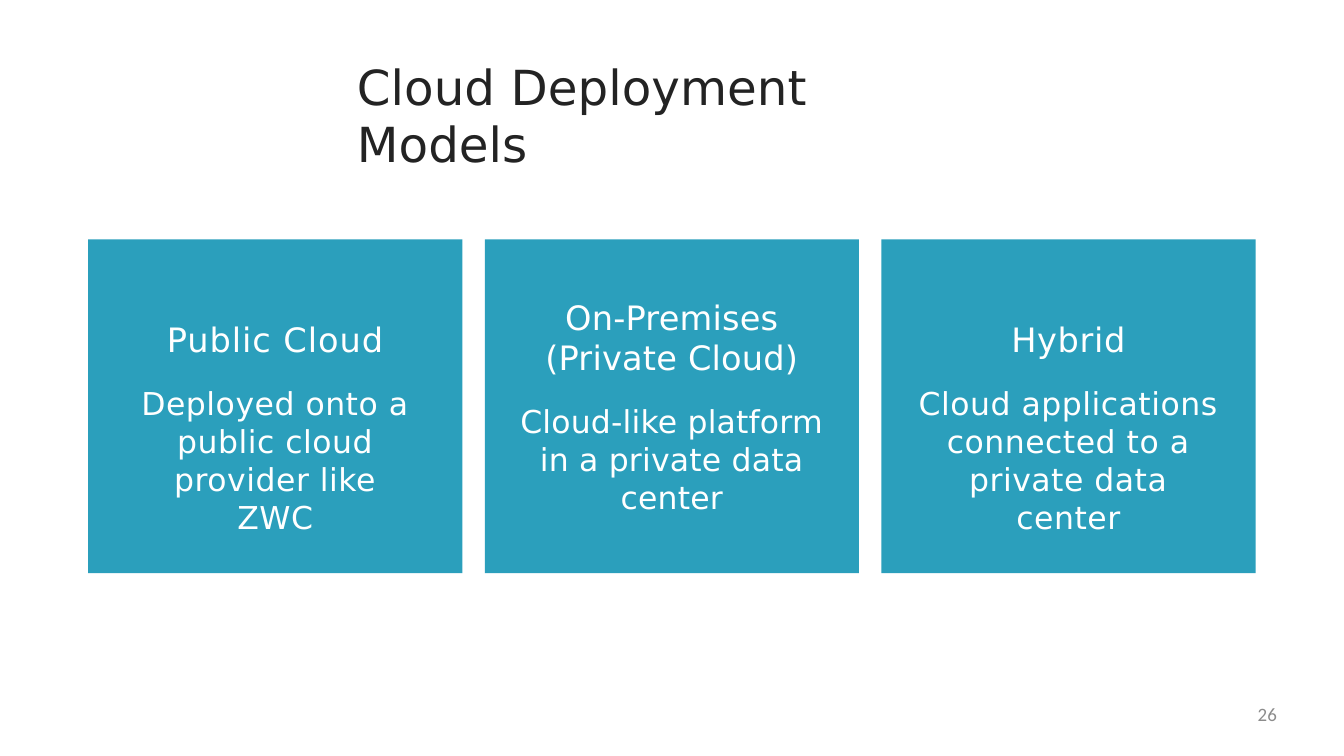
"""Build a slide of three cloud deployment models."""
from pptx import Presentation
from pptx.dml.color import RGBColor
from pptx.enum.shapes import MSO_SHAPE
from pptx.enum.text import MSO_ANCHOR, PP_ALIGN
from pptx.util import Pt

RECT = MSO_SHAPE.RECTANGLE
TOP = MSO_ANCHOR.TOP
LEFT, CENTER, RIGHT = PP_ALIGN.LEFT, PP_ALIGN.CENTER, PP_ALIGN.RIGHT
TEAL = RGBColor(0x2B, 0x9F, 0xBC)
WHITE = RGBColor(0xFF, 0xFF, 0xFF)
DARK = RGBColor(0x23, 0x23, 0x23)
GRAY = RGBColor(0x8C, 0x8C, 0x8C)
SANS = "DejaVu Sans"


def set_frame(shape, top=0, left=0, right=0):
    frame = shape.text_frame
    frame.word_wrap = True
    frame.vertical_anchor = TOP
    frame.margin_top, frame.margin_bottom = Pt(top), Pt(0)
    frame.margin_left, frame.margin_right = Pt(left), Pt(right)
    return frame


def write(para, text, size, color, align, face=SANS, track=0):
    para.alignment = align
    para.font.name = face
    para.font.size = Pt(size)
    para.font.color.rgb = color
    run = para.add_run()
    run.text = text
    if track:
        run.font._element.set("spc", str(round(track * 100))) if hasattr(
            run.font, "_element") else run._r.get_or_add_rPr().set(
            "spc", str(round(track * 100)))


deck = Presentation()
deck.slide_width, deck.slide_height = Pt(1280), Pt(720)
slide = deck.slides.add_slide(deck.slide_layouts[6])
shapes = slide.shapes

title = shapes.add_textbox(Pt(340), Pt(51), Pt(601), Pt(57))
frame = set_frame(title, top=3, right=10)
write(frame.paragraphs[0], "Cloud Deployment Models", 46, DARK, LEFT,
      track=0.1)

CARDS = [
    ("Public Cloud", "Deployed onto a public cloud provider like ZWC",
     76, 43, 0.9, 0.5),
    ("On-Premises (Private Cloud)",
     "Cloud-like platform in a private data center", 55, 30, 0.2, 0.2),
    ("Hybrid", "Cloud applications connected to a private data center",
     76, 34, 0.6, 0.5),
]
for i, (head, body, top, side, wide, loose) in enumerate(CARDS):
    card = shapes.add_shape(RECT, Pt(84 + 377.7 * i), Pt(228),
                            Pt(356.4), Pt(318))
    card.shadow.inherit = False
    card.fill.solid()
    card.fill.fore_color.rgb = TEAL
    card.line.fill.background()
    frame = set_frame(card, top, side, side)
    para = frame.paragraphs[0]
    para.line_spacing = Pt(38)
    write(para, head, 32, WHITE, CENTER, track=wide)
    para = frame.add_paragraph()
    para.space_before = Pt(24)
    write(para, body, 30, WHITE, CENTER, track=loose)

number = shapes.add_textbox(Pt(921.6), Pt(669.6), Pt(294.5), Pt(36))
frame = set_frame(number)
write(frame.paragraphs[0], "26", 18, GRAY, RIGHT, face="Calibri")

deck.save("out.pptx")
